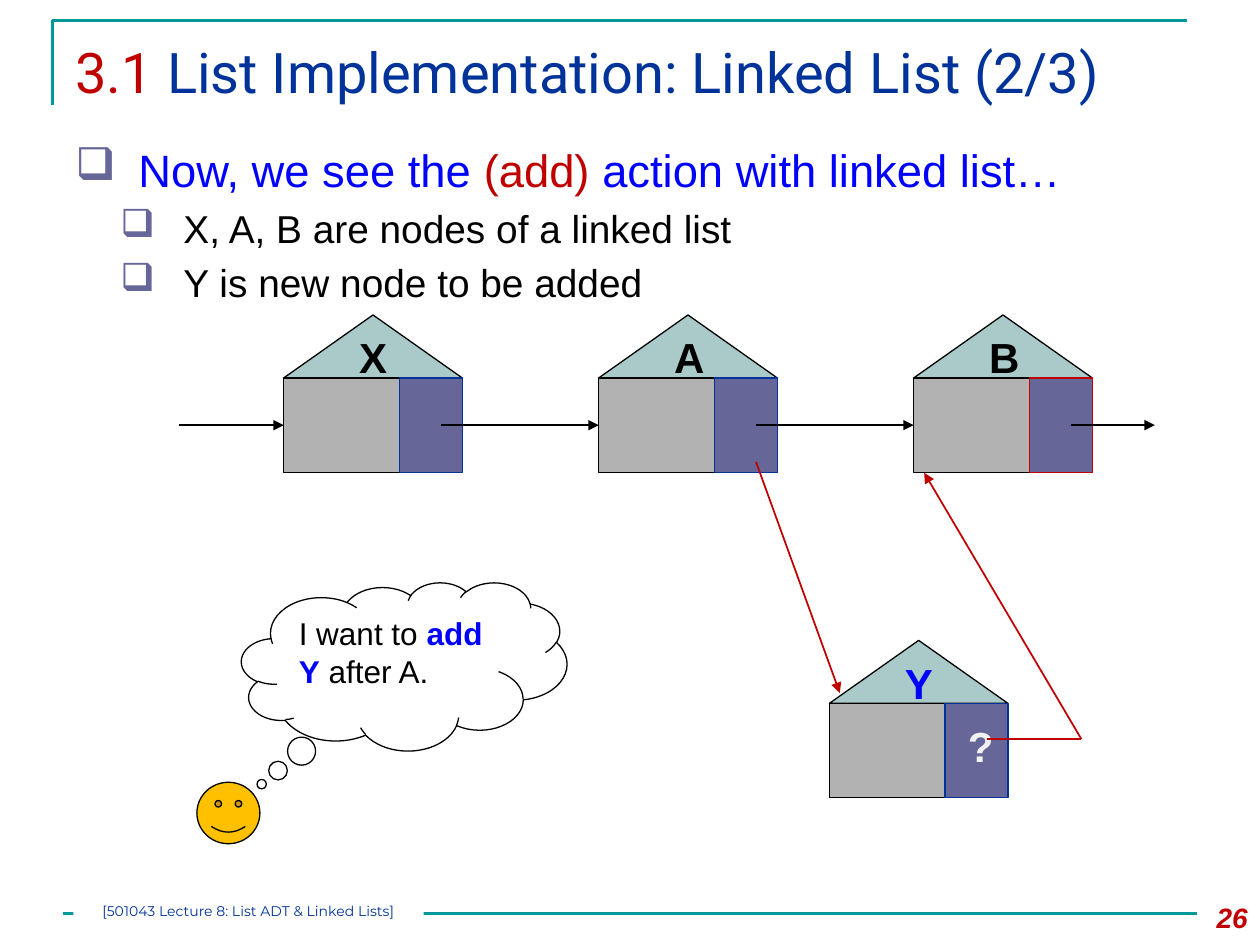
from typing import NamedTuple

from lxml.etree import SubElement
from pptx import Presentation
from pptx.dml.color import RGBColor
from pptx.enum.shapes import MSO_CONNECTOR, MSO_SHAPE
from pptx.enum.text import MSO_ANCHOR, PP_ALIGN
from pptx.oxml.ns import qn
from pptx.util import Cm, Pt

BLACK = RGBColor(0x00, 0x00, 0x00)
WHITE = RGBColor(0xFF, 0xFF, 0xFF)
TEAL = RGBColor(0x00, 0x99, 0x99)
NAVY = RGBColor(0x00, 0x33, 0x99)
BLUE = RGBColor(0x00, 0x00, 0xFF)
RED = RGBColor(0xC0, 0x00, 0x00)
ROOF = RGBColor(0xAA, 0xCA, 0xCA)
GREY = RGBColor(0xB2, 0xB2, 0xB2)
PURPLE = RGBColor(0x66, 0x66, 0x99)
PALE = RGBColor(0xF2, 0xF2, 0xF2)
YELLOW = RGBColor(0xFF, 0xC0, 0x00)


class Box(NamedTuple):
    x: float
    y: float
    w: float
    h: float


class Node(NamedTuple):
    name: str
    x: float
    y: float
    color: RGBColor = BLACK
    edge: RGBColor = NAVY


class Arrow(NamedTuple):
    x1: float
    y1: float
    x2: float
    y2: float
    color: RGBColor = BLACK
    width: float = 0.75
    head: bool = True


class Bullet(NamedTuple):
    runs: list
    size: float
    left: float
    before: float = 0


def add_run(p, text: str, *, size: float, color=BLACK, font="Arial",
            bold=False, italic=False) -> None:
    r = p.add_run()
    r.text = text
    r.font.name, r.font.size = font, Pt(size)
    r.font.bold, r.font.italic = bold, italic
    r.font.color.rgb = color


def add_box(shapes, box: Box):
    tf = shapes.add_textbox(*map(Cm, box)).text_frame
    tf.word_wrap = True
    return tf


def add_label(shapes, text: str, box: Box, color: RGBColor) -> None:
    add_run(add_box(shapes, box).paragraphs[0], text, size=24, color=color, bold=True)


def add_shape(shapes, kind, box: Box, fill, line=None, width=0.75):
    sp = shapes.add_shape(kind, *map(Cm, box))
    sp.shadow.inherit = False
    sp.fill.solid()
    sp.fill.fore_color.rgb = fill
    if line is None:
        sp.line.fill.background()
    else:
        sp.line.color.rgb = line
        sp.line.width = Pt(width)
    return sp


def add_node(shapes, node: Node) -> None:
    g = shapes.add_group_shape().shapes
    x, y = node.x, node.y
    wall = y + ROOF_H
    add_shape(g, MSO_SHAPE.FLOWCHART_EXTRACT, Box(x, y, DATA_W + LINK_W, ROOF_H), ROOF, BLACK)
    add_shape(g, MSO_SHAPE.FLOWCHART_PROCESS, Box(x, wall, DATA_W, WALL_H), GREY, BLACK)
    add_shape(g, MSO_SHAPE.FLOWCHART_PROCESS, Box(x + DATA_W, wall, LINK_W, WALL_H),
              PURPLE, node.edge)
    add_label(g, node.name, Box(x + 1.27, y + 0.21, 1.2, 1.27), node.color)


def add_line(shapes, a: Arrow) -> None:
    c = shapes.add_connector(MSO_CONNECTOR.STRAIGHT, Cm(a.x1), Cm(a.y1), Cm(a.x2), Cm(a.y2))
    c.line.color.rgb = a.color
    c.line.width = Pt(a.width)
    if a.head:
        SubElement(c.line._get_or_add_ln(), qn("a:tailEnd"), type="triangle")
    SubElement(c._element.spPr, qn("a:effectLst"))


def add_bullet(p, bullet: Bullet) -> None:
    p.space_before = Pt(bullet.before)
    pPr = p._p.get_or_add_pPr()
    pPr.set("marL", str(Cm(bullet.left)))
    pPr.set("indent", str(Cm(-1.27)))
    SubElement(SubElement(pPr, qn("a:buClr")), qn("a:srgbClr"), val=str(PURPLE))
    SubElement(pPr, qn("a:buChar"), char="❑")
    for text, color in bullet.runs:
        add_run(p, text, size=bullet.size, color=color)


# Node measures and the row of linked nodes
ROOF_H, WALL_H, DATA_W, LINK_W = 1.27, 1.9, 2.33, 1.27
ROW_X, ROW_Y, STEP = 5.72, 6.35, 6.35
ARROW_Y = 8.57
TAIL_X = 3.17  # where a link arrow starts inside its node

NODES = [
    Node("X", ROW_X, ROW_Y),
    Node("A", ROW_X + STEP, ROW_Y),
    Node("Y", 16.72, 12.91, color=BLUE),
    Node("B", ROW_X + 2 * STEP, ROW_Y, edge=RED),
]
ARROWS = [
    Arrow(15.24, 9.31, 16.93, 13.97, RED, 1),
    Arrow(19.9, 14.9, 21.8, 14.9, RED, 1, head=False),
    Arrow(21.8, 14.9, 18.63, 9.53, RED, 1),
    Arrow(3.6, ARROW_Y, ROW_X, ARROW_Y),
    *(Arrow(ROW_X + i * STEP + TAIL_X, ARROW_Y, ROW_X + (i + 1) * STEP, ARROW_Y)
      for i in range(2)),
    Arrow(ROW_X + 2 * STEP + TAIL_X, ARROW_Y, 23.28, ARROW_Y),
]
BULLETS = [
    Bullet([("Now, we see the ", BLUE), ("(add) ", RED),
            ("action with linked list…", BLUE)], 25.9, 1.27),
    Bullet([("X, A, B are nodes of a linked list", BLACK)], 22.2, 2.18, 4.4),
    Bullet([("Y is new node to be added", BLACK)], 22.2, 2.18, 4.4),
]


def main() -> None:
    prs = Presentation()
    prs.slide_width, prs.slide_height = Cm(25.4), Cm(19.05)
    s = prs.slides.add_slide(prs.slide_layouts[6]).shapes

    # Frame corner and footer rule
    corner = s.build_freeform(Cm(1.06), Cm(2.11))
    corner.add_line_segments([(Cm(1.06), Cm(0.42)), (Cm(23.92), Cm(0.42))], close=False)
    sp = corner.convert_to_shape()
    sp.shadow.inherit = False
    sp.fill.background()
    sp.line.color.rgb = TEAL
    sp.line.width = Pt(1.5)
    add_line(s, Arrow(1.27, 18.42, 24.13, 18.42, TEAL, 1.5, head=False))

    # Title, page number and bullets
    p = add_box(s, Box(1.27, 0.64, 22.86, 2.18)).paragraphs[0]
    add_run(p, "3.1 ", size=32, color=RED, font="Roboto")
    add_run(p, "List Implementation: Linked List (2/3)", size=32, color=NAVY, font="Roboto")

    p = add_box(s, Box(23.7, 18.03, 1.7, 1.02)).paragraphs[0]
    p.alignment = PP_ALIGN.RIGHT
    add_run(p, "26", size=16, color=RED, bold=True, italic=True)

    tf = add_box(s, Box(1.27, 2.75, 22.86, 3.38))
    for i, bullet in enumerate(BULLETS):
        add_bullet(tf.add_paragraph() if i else tf.paragraphs[0], bullet)

    # Linked list
    for node in NODES:
        add_node(s, node)
    add_label(s, "?", Box(19.26, 14.39, 1.06, 1.27), PALE)

    # Speaker and thought
    face = add_shape(s, MSO_SHAPE.SMILEY_FACE, Box(3.97, 15.77, 1.27, 1.24), YELLOW, BLACK)
    face.adjustments[0] = 0.047
    cloud = add_shape(s, MSO_SHAPE.CLOUD_CALLOUT, Box(4.87, 11.74, 6.56, 3.39), WHITE, BLACK)
    cloud.adjustments[0], cloud.adjustments[1] = -0.438, 0.7
    tf = cloud.text_frame
    tf.word_wrap, tf.vertical_anchor = True, MSO_ANCHOR.TOP
    p = tf.paragraphs[0]
    p.alignment = PP_ALIGN.LEFT
    add_run(p, "I want to ", size=18)
    add_run(p, "add Y", size=18, color=BLUE, bold=True)
    add_run(p, " after A.", size=18)

    for arrow in ARROWS:
        add_line(s, arrow)

    # Footer
    tf = add_shape(s, MSO_SHAPE.RECTANGLE, Box(1.48, 18.2, 7.06, 0.51), WHITE).text_frame
    tf.margin_left = tf.margin_top = tf.margin_right = tf.margin_bottom = 0
    tf.word_wrap, tf.vertical_anchor = True, MSO_ANCHOR.TOP
    p = tf.paragraphs[0]
    p.alignment = PP_ALIGN.CENTER
    add_run(p, "[501043 Lecture 8: List ADT & Linked Lists]", size=8, color=NAVY,
            font="Montserrat")

    prs.save("out.pptx")


if __name__ == "__main__":
    main()
